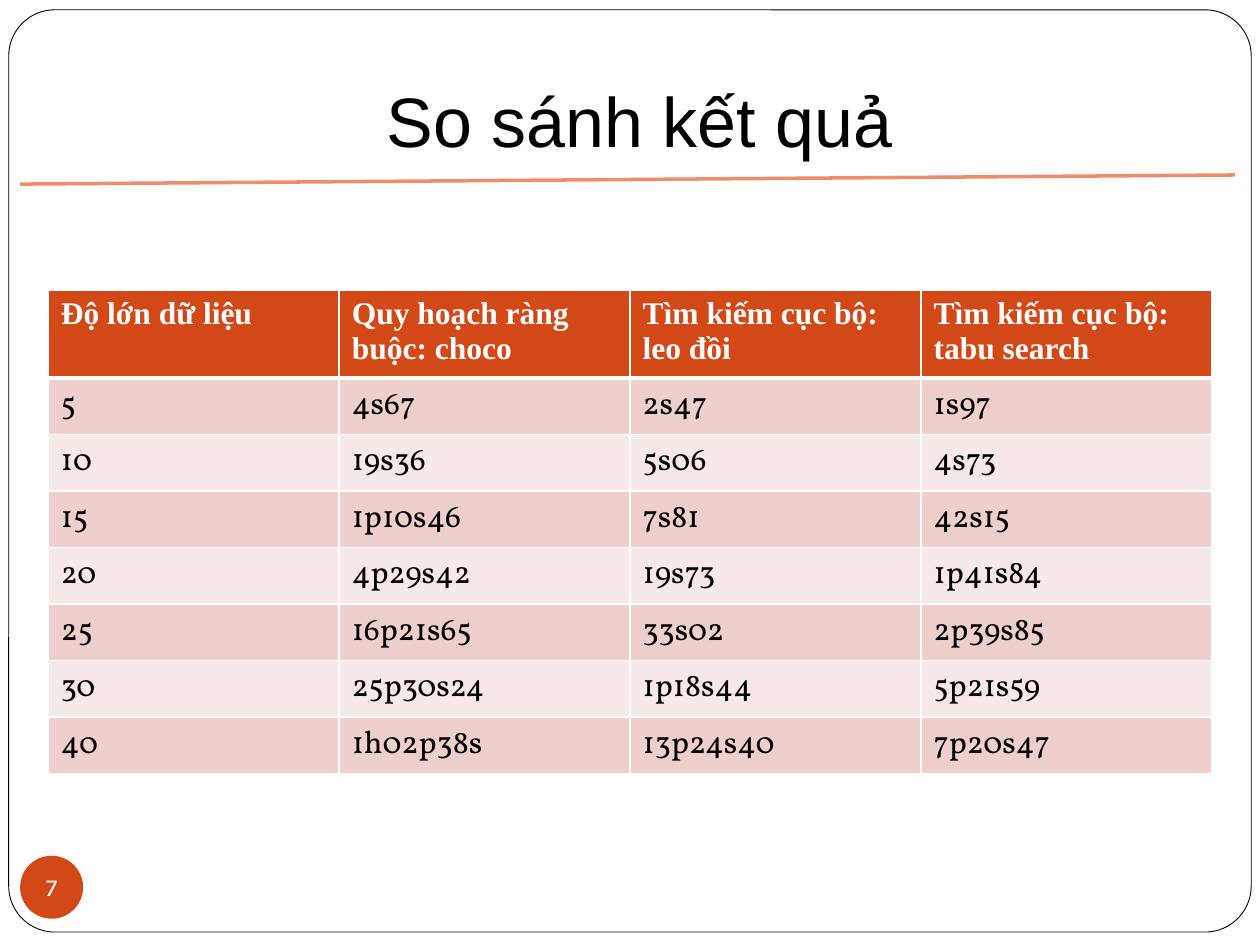
from pptx import Presentation
from pptx.dml.color import RGBColor
from pptx.enum.shapes import MSO_CONNECTOR as Connector, MSO_SHAPE as Shape
from pptx.enum.text import MSO_ANCHOR as Anchor, PP_ALIGN as Align
from pptx.oxml import parse_xml
from pptx.oxml.ns import nsdecls
from pptx.util import Pt

BLACK, WHITE, ACCENT, RULE = "000000", "FFFFFF", "D34817", "EF8C6A"
BANDS = ["EFCFCC", "F7E9E8"]


def colour(value):
    return RGBColor.from_string(value)


class SlideBuilder:
    title_font = "Arial"
    header_font = "Times New Roman"
    body_font = "Vollkorn"
    number_font = "Karla"

    def __init__(self, slide):
        self.slide = slide

    def add_text(self, frame, text, font, size, fill, bold=False, align=Align.LEFT):
        paragraph = frame.paragraphs[0]
        paragraph.alignment = align
        run = paragraph.add_run()
        run.text = text
        run.font.name = font
        run.font.size = Pt(size)
        run.font.bold = bold
        run.font.color.rgb = colour(fill)

    def set_margins(self, frame, left, top, right, bottom):
        frame.margin_left, frame.margin_top = Pt(left), Pt(top)
        frame.margin_right, frame.margin_bottom = Pt(right), Pt(bottom)

    def shape(self, kind, left, top, width, height, fill, line=None):
        item = self.slide.shapes.add_shape(kind, Pt(left), Pt(top), Pt(width), Pt(height))
        item.shadow.inherit = False
        item.fill.solid()
        item.fill.fore_color.rgb = colour(fill)
        if line:
            item.line.color.rgb = colour(line)
            item.line.width = Pt(0.5)
        else:
            item.line.fill.background()
        return item

    def frame(self, left, top, width, height, rounding):
        border = self.shape(Shape.ROUNDED_RECTANGLE, left, top, width, height, WHITE, BLACK)
        border.adjustments[0] = rounding

    def title(self, text, left, top, width, height):
        box = self.slide.shapes.add_textbox(Pt(left), Pt(top), Pt(width), Pt(height))
        frame = box.text_frame
        frame.word_wrap = True
        frame.vertical_anchor = Anchor.BOTTOM
        self.set_margins(frame, 7.2, 3.6, 7.2, 7.2)
        self.add_text(frame, text, self.title_font, 40, BLACK, align=Align.CENTER)

    def rule(self, x1, y1, x2, y2):
        line = self.slide.shapes.add_connector(
            Connector.STRAIGHT, Pt(x1), Pt(y1), Pt(x2), Pt(y2))
        line.line.color.rgb = colour(RULE)
        line.line.width = Pt(2)
        line._element.spPr.append(parse_xml(f"<a:effectLst {nsdecls('a')}/>"))

    def page_number(self, text, left, top, size):
        badge = self.shape(Shape.OVAL, left, top, size, size, ACCENT)
        frame = badge.text_frame
        frame.word_wrap = False
        frame.vertical_anchor = Anchor.MIDDLE
        self.set_margins(frame, 0, 0, 0, 0)
        self.add_text(frame, text, self.number_font, 14, WHITE, align=Align.CENTER)

    def cell_borders(self, cell, top, bottom):
        properties = cell._tc.get_or_add_tcPr()
        widths = {"lnL": 1, "lnR": 1, "lnT": top, "lnB": bottom}
        for position, (side, width) in enumerate(widths.items()):
            properties.insert(position, parse_xml(
                f'<a:{side} {nsdecls("a")} w="{Pt(width)}"><a:solidFill>'
                f'<a:srgbClr val="{WHITE}"/></a:solidFill></a:{side}>'))

    def table(self, rows, left, top, width, header_height, row_height):
        height = header_height + row_height * (len(rows) - 1)
        columns = len(rows[0])
        table = self.slide.shapes.add_table(
            len(rows), columns, Pt(left), Pt(top), Pt(width), Pt(height)).table
        for column in table.columns:
            column.width = Pt(width / columns)
        for r, values in enumerate(rows):
            header = r == 0
            table.rows[r].height = Pt(header_height if header else row_height)
            for c, value in enumerate(values):
                cell = table.cell(r, c)
                cell.fill.solid()
                cell.fill.fore_color.rgb = colour(ACCENT if header else BANDS[(r - 1) % 2])
                self.cell_borders(cell, 3 if r == 1 else 1, 3 if header else 1)
                self.add_text(cell.text_frame, value,
                              self.header_font if header else self.body_font,
                              18, WHITE if header else BLACK, bold=header)


RESULTS = [
    ["Độ lớn dữ liệu", "Quy hoạch ràng buộc: choco",
     "Tìm kiếm cục bộ: leo đồi", "Tìm kiếm cục bộ: tabu search"],
    ["5", "4s67", "2s47", "1s97"],
    ["10", "19s36", "5s06", "4s73"],
    ["15", "1p10s46", "7s81", "42s15"],
    ["20", "4p29s42", "19s73", "1p41s84"],
    ["25", "16p21s65", "33s02", "2p39s85"],
    ["30", "25p30s24", "1p18s44", "5p21s59"],
    ["40", "1h02p38s", "13p24s40", "7p20s47"],
]

deck = Presentation()
deck.slide_width, deck.slide_height = Pt(720), Pt(540)
builder = SlideBuilder(deck.slides.add_slide(deck.slide_layouts[6]))
builder.frame(5, 5.6, 710, 527, 0.05)
builder.title("So sánh kết quả", 25.2, 9.4, 680.4, 90)
builder.rule(11.5, 105.2, 705.6, 100)
builder.page_number("7", 11.5, 489, 36)
builder.table(RESULTS, 27.6, 165.6, 665, 46.8, 32.3)
deck.save("out.pptx")
